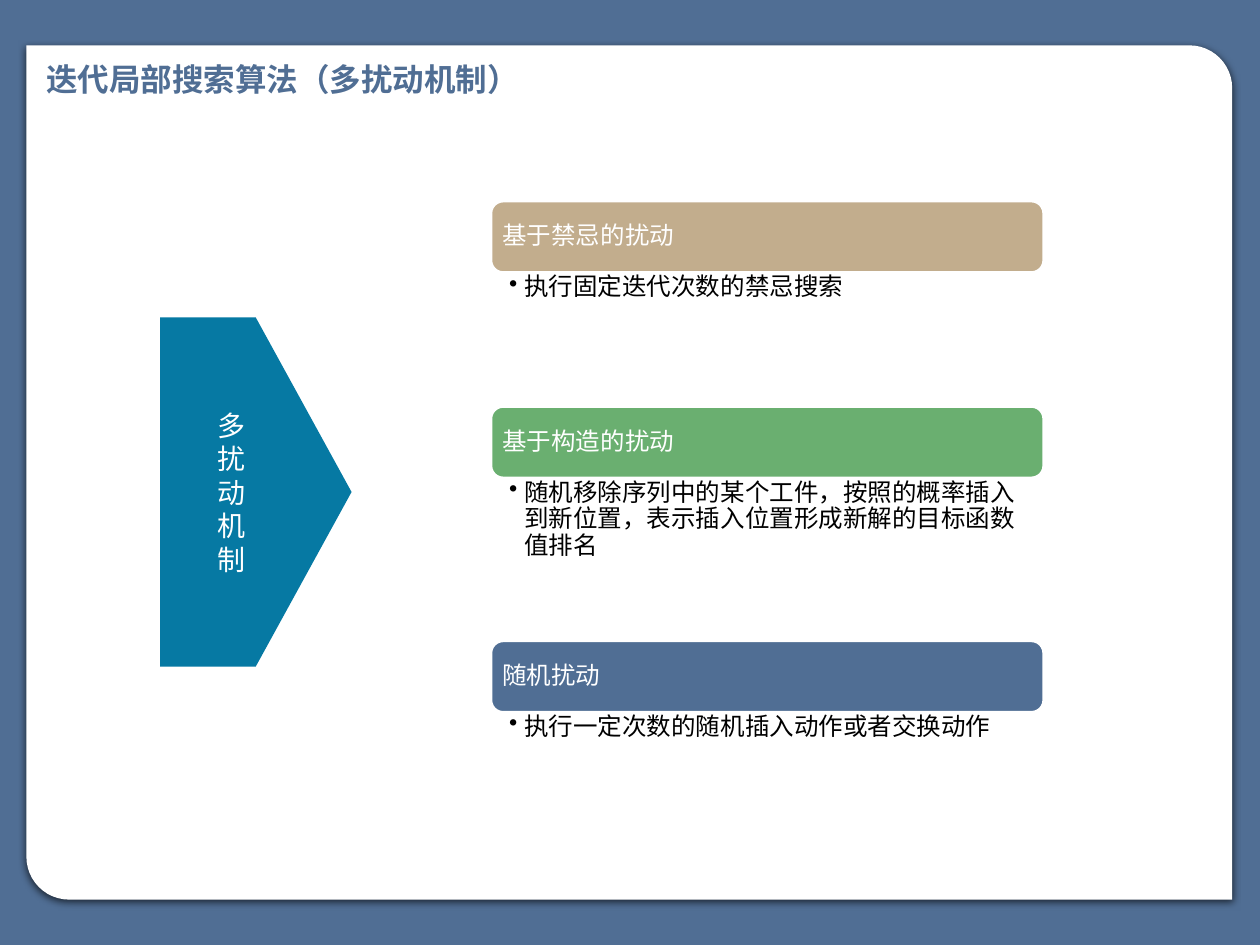
from dataclasses import dataclass

from lxml import etree
from pptx import Presentation
from pptx.dml.color import RGBColor
from pptx.enum.shapes import MSO_SHAPE
from pptx.enum.text import MSO_ANCHOR, MSO_AUTO_SIZE, PP_ALIGN
from pptx.oxml.ns import qn
from pptx.shapes.autoshape import Shape
from pptx.slide import Slide
from pptx.text.text import TextFrame
from pptx.util import Pt

PANEL = MSO_SHAPE.ROUND_2_DIAG_RECTANGLE
HEADER = MSO_SHAPE.ROUNDED_RECTANGLE
ARROW = MSO_SHAPE.PENTAGON
MIDDLE, TOP = MSO_ANCHOR.MIDDLE, MSO_ANCHOR.TOP
LEFT, CENTER = PP_ALIGN.LEFT, PP_ALIGN.CENTER

FONT = "DejaVu Sans"
BLUE, WHITE, BLACK = "506E94", "FFFFFF", "000000"
LIST_LEFT, LIST_WIDTH, HEADER_HEIGHT = 280.8, 315.36, 40.32
BULLET_INDENT = 8.64


@dataclass
class Box:
    left: float
    top: float
    width: float
    height: float

    def lengths(self) -> tuple[Pt, Pt, Pt, Pt]:
        return Pt(self.left), Pt(self.top), Pt(self.width), Pt(self.height)


@dataclass
class Perturbation:
    top: float
    detail_height: float
    colour: str
    name: str
    detail: str


PERTURBATIONS = [
    Perturbation(115.2, 84.96, "C2AD8D", "基于禁忌的扰动", "执行固定迭代次数的禁忌搜索"),
    Perturbation(232.56, 84.96, "6AAF70", "基于构造的扰动",
                 "随机移除序列中的某个工件，按照的概率插入到新位置，"
                 "表示插入位置形成新解的目标函数值排名"),
    Perturbation(366.48, 39.6, BLUE, "随机扰动", "执行一定次数的随机插入动作或者交换动作"),
]


def rgb(colour: str) -> RGBColor:
    return RGBColor.from_string(colour)


def add_filled(slide: Slide, preset: MSO_SHAPE, box: Box, colour: str) -> Shape:
    shape = slide.shapes.add_shape(preset, *box.lengths())
    shape.shadow.inherit = False
    shape.fill.solid()
    shape.fill.fore_color.rgb = rgb(colour)
    shape.line.fill.background()
    return shape


def write(frame: TextFrame, text: str, size: float, colour: str, *,
          bold: bool = False, align: PP_ALIGN = LEFT, anchor: MSO_ANCHOR = TOP,
          spacing: float = 1.0) -> None:
    """Fill the frame, one paragraph per line of text."""
    frame.text = text
    frame.word_wrap = True
    frame.vertical_anchor = anchor
    for paragraph in frame.paragraphs:
        paragraph.alignment = align
        paragraph.line_spacing = spacing
        font = paragraph.font
        font.name, font.size, font.bold = FONT, Pt(size), bold
        font.color.rgb = rgb(colour)


def set_margins(frame: TextFrame, left: float, top: float,
                right: float, bottom: float) -> None:
    frame.margin_left, frame.margin_top = Pt(left), Pt(top)
    frame.margin_right, frame.margin_bottom = Pt(right), Pt(bottom)


def add_bullet(frame: TextFrame) -> None:
    properties = frame.paragraphs[0]._p.get_or_add_pPr()
    properties.set("marL", str(Pt(BULLET_INDENT)))
    properties.set("indent", str(-Pt(BULLET_INDENT)))
    bullet = etree.Element(qn("a:buChar"), char="•")
    properties.find(qn("a:defRPr")).addprevious(bullet)


def add_drop_shadow(shape: Shape) -> None:
    effects = shape._element.spPr.find(qn("a:effectLst"))
    shadow = etree.SubElement(effects, qn("a:outerShdw"), blurRad=str(Pt(4.5)),
                              dist=str(Pt(1.5)), dir="5400000", rotWithShape="0")
    colour = etree.SubElement(shadow, qn("a:srgbClr"), val=BLACK)
    etree.SubElement(colour, qn("a:alpha"), val="63000")


def add_panel(slide: Slide) -> None:
    panel = add_filled(slide, PANEL, Box(15.12, 25.92, 689.04, 488.16), WHITE)
    panel.adjustments[0], panel.adjustments[1] = 0, 0.05
    add_drop_shadow(panel)


def add_title(slide: Slide) -> None:
    title = slide.shapes.add_textbox(*Box(19.44, 30.96, 305.28, 28.8).lengths())
    write(title.text_frame, "迭代局部搜索算法（多扰动机制）", 18, BLUE, bold=True)
    title.text_frame.auto_size = MSO_AUTO_SIZE.SHAPE_TO_FIT_TEXT


def add_perturbation(slide: Slide, item: Perturbation) -> None:
    header = add_filled(slide, HEADER,
                        Box(LIST_LEFT, item.top, LIST_WIDTH, HEADER_HEIGHT), item.colour)
    header.line.color.rgb = rgb(WHITE)
    header.line.width = Pt(1)
    write(header.text_frame, item.name, 14, WHITE, anchor=MIDDLE, spacing=0.9)
    set_margins(header.text_frame, 4.32, 4.32, 4.32, 4.32)

    detail_box = Box(LIST_LEFT, item.top + HEADER_HEIGHT, LIST_WIDTH, item.detail_height)
    detail = slide.shapes.add_textbox(*detail_box.lengths())
    write(detail.text_frame, item.detail, 14, BLACK, spacing=0.9)
    set_margins(detail.text_frame, 10.08, 1.44, 7.92, 1.44)
    add_bullet(detail.text_frame)


def main() -> None:
    deck = Presentation()
    deck.slide_width, deck.slide_height = Pt(720), Pt(540)
    slide = deck.slides.add_slide(deck.slide_layouts[6])
    slide.background.fill.solid()
    slide.background.fill.fore_color.rgb = rgb(BLUE)

    add_panel(slide)
    add_title(slide)
    for item in PERTURBATIONS:
        add_perturbation(slide, item)
    mechanism = add_filled(slide, ARROW, Box(91.44, 181.44, 109.44, 199.44), "0679A3")
    write(mechanism.text_frame, "\n".join("多扰动机制"), 16, WHITE,
          align=CENTER, anchor=MIDDLE)
    deck.save("out.pptx")


if __name__ == "__main__":
    main()
